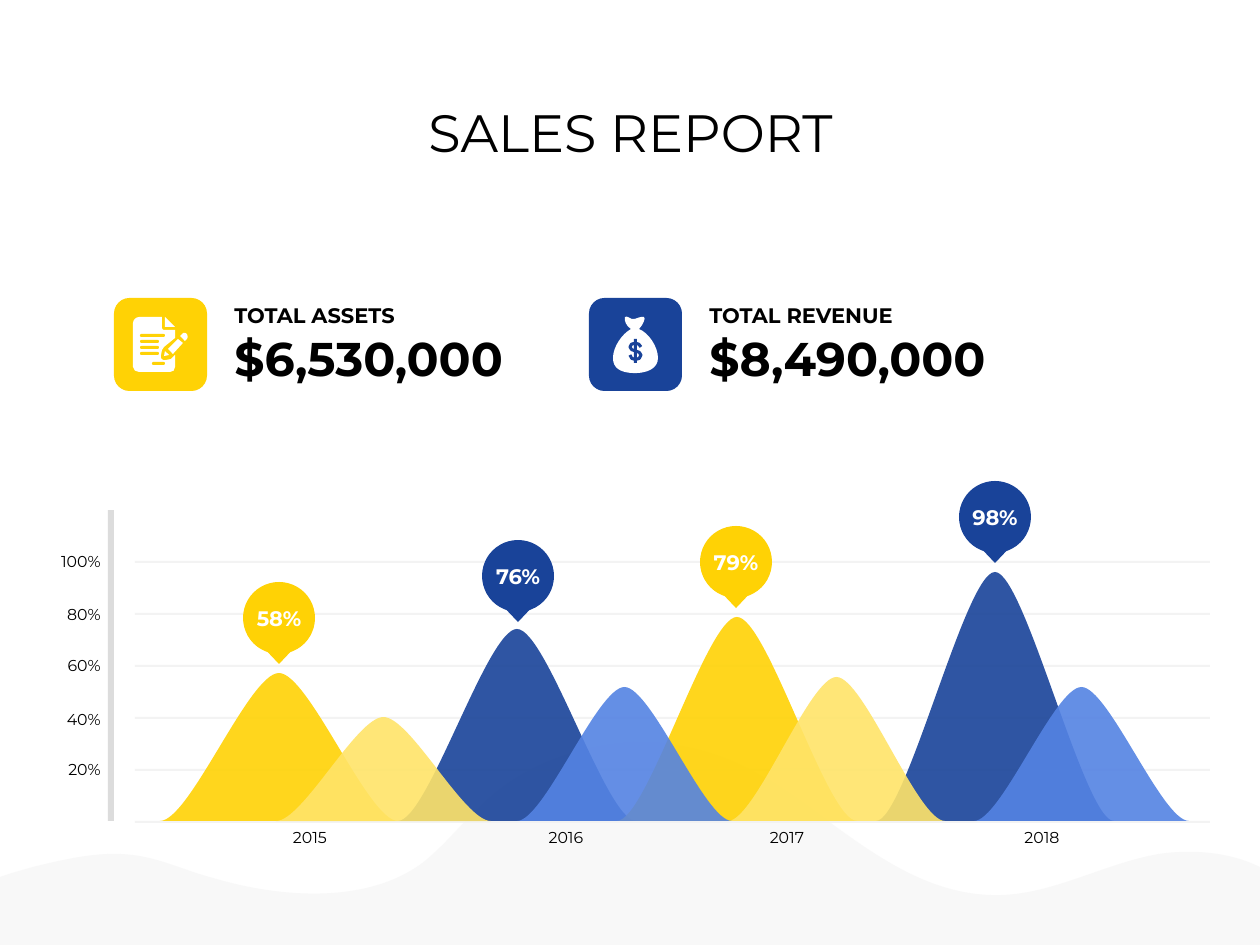
from lxml.etree import SubElement
from pptx import Presentation
from pptx.dml.color import RGBColor
from pptx.enum.shapes import MSO_SHAPE
from pptx.enum.text import MSO_ANCHOR, MSO_AUTO_SIZE, PP_ALIGN
from pptx.oxml.ns import qn
from pptx.util import Pt

SCALE = 914400 / 126
BASELINE = 821
YELLOW, PALE_YELLOW = "FFD205", "FFE469"
NAVY, LIGHT_BLUE = "194399", "5483E3"
WHITE, BLACK, GRID, AXIS = "FFFFFF", "000000", "F2F2F2", "D9D9D9"

PEAKS = [
    (160, 398, 673, YELLOW), (876, 1114, 572, NAVY),
    (398, 636, 629, NAVY), (617, 857, 617, YELLOW),
    (276, 491, 717, PALE_YELLOW), (974, 1189, 687, LIGHT_BLUE),
    (728, 945, 677, PALE_YELLOW), (517, 732, 687, LIGHT_BLUE),
]
PINS = [("58%", 243, 582, YELLOW), ("76%", 482, 540, NAVY),
        ("79%", 700, 526, YELLOW), ("98%", 959, 481, NAVY)]
TICKS = [("20%", 753), ("40%", 703), ("60%", 649), ("80%", 598), ("100%", 545)]
YEARS = [("2015", 280), ("2016", 536), ("2017", 757), ("2018", 1012)]
TOTALS = [("TOTAL ASSETS", "$6,530,000", 114, YELLOW),
          ("TOTAL REVENUE", "$8,490,000", 589, NAVY)]

WAVE = [
    (634, 742), (674, 741, 717, 751, 753, 771), (829, 812, 896, 891, 989, 895),
    (1048, 898, 1101, 864, 1159, 854), (1194, 849, 1226, 853, 1251, 863),
    (1260, 867), (1260, 945), (0, 945), (0, 877),
    (11, 873, 23, 870, 33, 867), (66, 859, 100, 851, 132, 855),
    (160, 858, 186, 871, 213, 878), (280, 898, 369, 905, 425, 861),
    (449, 841, 466, 818, 489, 798), (527, 764, 580, 745, 634, 742),
]
PAGE = [
    (162, 350), (163, 349, 163, 348, 164, 347), (175, 338), (175, 330), (164, 330),
    (163, 330, 162, 329, 162, 328), (162, 317), (139, 317),
    (136, 317, 133, 320, 133, 323), (133, 367), (133, 370, 136, 372, 139, 372),
    (170, 372), (173, 372, 175, 370, 175, 367), (175, 355), (171, 359),
    (166, 360), (162, 361, 160, 358, 161, 355),
]
FOLD = [(165, 317), (175, 327), (165, 327)]
PENCIL_TIP = [(165, 351), (164, 356), (169, 355)]
PENCIL_BODY = [(178, 339), (168, 349), (173, 354), (183, 343)]
PENCIL_END = [(180, 336), (183, 333), (184, 332, 186, 333, 187, 334),
              (188, 336, 188, 338, 187, 339), (185, 341)]
PAGE_LINES = [(140, 334, 25), (140, 340, 19), (140, 346, 19),
              (140, 352, 19), (152, 362, 13)]
MONEY_BAG = [
    (639, 329), (643, 325, 646, 318, 644, 317), (641, 316, 636, 319, 634, 319),
    (631, 320, 627, 315, 625, 317), (624, 320, 626, 326, 631, 329),
    (622, 334, 613, 347, 613, 358), (613, 368, 620, 372, 631, 373),
    (648, 374, 658, 368, 658, 358), (658, 347, 649, 333, 639, 329),
]
DOLLAR_CURVE = [
    (641, 347), (640, 342, 630, 342, 630, 347),
    (630, 352, 641, 350, 641, 355), (641, 361, 630, 361, 630, 355),
]


def px(value):
    """Turn picture pixels into EMU."""
    return round(value * SCALE)


def color(value):
    """Turn a hex string into a colour."""
    return RGBColor.from_string(value)


def paint(shape, fill, opacity=100):
    """Give a shape a plain fill without line or shadow."""
    shape.shadow.inherit = False
    shape.line.fill.background()
    shape.fill.solid()
    shape.fill.fore_color.rgb = color(fill)
    if opacity < 100:
        rgb = shape.element.spPr.find(qn("a:solidFill")).find(qn("a:srgbClr"))
        SubElement(rgb, qn("a:alpha"), val=str(opacity * 1000))


def add_block(shapes, kind, box, fill, opacity=100):
    """Add a filled preset shape."""
    shape = shapes.add_shape(kind, *map(px, box))
    paint(shape, fill, opacity)
    return shape


def add_outline(shapes, outline, close=True):
    """Add a freeform whose six-number segments are cubic curves."""
    points = [(px(segment[i]), px(segment[i + 1]))
              for segment in outline for i in range(0, len(segment), 2)]
    builder = shapes.build_freeform(*points[0], scale=1.0)
    builder.add_line_segments(points[1:], close=close)
    shape = builder.convert_to_shape()
    lines = iter(list(shape.element.spPr.iter(qn("a:lnTo"))))
    for segment in outline[1:]:
        first, *others = [next(lines) for _ in range(len(segment) // 2)]
        if others:
            curve = first.makeelement(qn("a:cubicBezTo"))
            first.addprevious(curve)
            for line in (first, *others):
                curve.append(line[0])
                line.getparent().remove(line)
    return shape


def write(shape, text, size=9, bold=False, fill=BLACK, align=PP_ALIGN.LEFT, wrap=False):
    """Put formatted text into a shape."""
    frame = shape.text_frame
    frame.word_wrap = wrap
    frame.auto_size = MSO_AUTO_SIZE.SHAPE_TO_FIT_TEXT
    frame.vertical_anchor = MSO_ANCHOR.MIDDLE
    paragraph = frame.paragraphs[0]
    paragraph.alignment = align
    run = paragraph.add_run()
    run.text = text
    run.font.name = "Montserrat"
    run.font.size = Pt(size)
    run.font.bold = bold
    run.font.color.rgb = color(fill)


def add_label(shapes, text, box, **style):
    """Add a text box."""
    write(shapes.add_textbox(*map(px, box)), text, **style)


def add_title(slide, text):
    """Place and fill the title."""
    title = slide.shapes.title
    title.left, title.top, title.width, title.height = map(px, (252, 87, 757, 83))
    write(title, text, size=30, align=PP_ALIGN.CENTER, wrap=True)
    title.text_frame.margin_top = px(20)
    title.text_frame.paragraphs[0].line_spacing = 0.9


def add_peak(shapes, left, right, top, fill):
    """Add one bell-shaped peak standing on the baseline."""
    middle, quarter = (left + right) / 2, (right - left) / 8
    bell = [(left, BASELINE),
            (left + quarter, BASELINE, middle - quarter, top, middle, top),
            (middle + quarter, top, right - quarter, BASELINE, right, BASELINE)]
    paint(add_outline(shapes, bell), fill, 90)


def add_pin(shapes, text, left, top, fill):
    """Add a round marker with a pointer and its value."""
    pin = shapes.add_group_shape().shapes
    add_block(pin, MSO_SHAPE.OVAL, (left, top, 72, 72), fill)
    pointer = add_block(pin, MSO_SHAPE.ISOSCELES_TRIANGLE, (left + 18, top + 63, 36, 19), fill)
    pointer.rotation = 180
    add_label(shapes, text, (left, top + 17, 72, 38), size=12, bold=True,
              fill=WHITE, align=PP_ALIGN.CENTER)


def add_chart_area(shapes):
    """Add the grid, axis, peaks, labels and pins."""
    for row in range(6):
        add_block(shapes, MSO_SHAPE.RECTANGLE, (135, 561 + 52 * row, 1075, 2), GRID, 90)
    add_block(shapes, MSO_SHAPE.RECTANGLE, (108, 510, 6, 311), AXIS, 90)
    for peak in PEAKS:
        add_peak(shapes, *peak)
    for text, top in TICKS:
        add_label(shapes, text, (45, top, 68, 32), align=PP_ALIGN.RIGHT, wrap=True)
    for text, left in YEARS:
        add_label(shapes, text, (left, BASELINE, 60, 32), align=PP_ALIGN.CENTER)
    for pin in PINS:
        add_pin(shapes, *pin)


def add_total(shapes, caption, amount, left, fill):
    """Add an icon tile with its caption and amount."""
    add_block(shapes, MSO_SHAPE.ROUNDED_RECTANGLE, (left, 298, 93, 93), fill)
    add_label(shapes, caption, (left + 108, 296, 217, 38), size=12, bold=True)
    add_label(shapes, amount, (left + 108, 323, 306, 70), size=27, bold=True)


def add_document_icon(shapes):
    """Add the page with a pencil."""
    icon = shapes.add_group_shape().shapes
    for outline in (PAGE, FOLD, PENCIL_TIP, PENCIL_BODY, PENCIL_END):
        paint(add_outline(icon, outline), WHITE)
    for left, top, width in PAGE_LINES:
        line = add_block(icon, MSO_SHAPE.ROUNDED_RECTANGLE, (left, top, width, 3), YELLOW)
        line.adjustments[0] = 0.5


def add_money_icon(shapes):
    """Add the money bag with its dollar sign."""
    icon = shapes.add_group_shape().shapes
    paint(add_outline(icon, MONEY_BAG), WHITE)
    curve = add_outline(icon, DOLLAR_CURVE, close=False)
    curve.shadow.inherit = False
    curve.fill.background()
    curve.line.color.rgb = color(NAVY)
    curve.line.width = Pt(1.75)
    add_block(icon, MSO_SHAPE.RECTANGLE, (634, 339, 3, 24), NAVY)


def main():
    """Build and save the sales report slide."""
    presentation = Presentation()
    presentation.slide_width, presentation.slide_height = px(1260), px(945)
    slide = presentation.slides.add_slide(presentation.slide_layouts[5])
    shapes = slide.shapes
    paint(add_outline(shapes, WAVE), GRID, 50)
    add_title(slide, "SALES REPORT")
    add_chart_area(shapes)
    for total in TOTALS:
        add_total(shapes, *total)
    add_document_icon(shapes)
    add_money_icon(shapes)
    presentation.save("out.pptx")


main()
